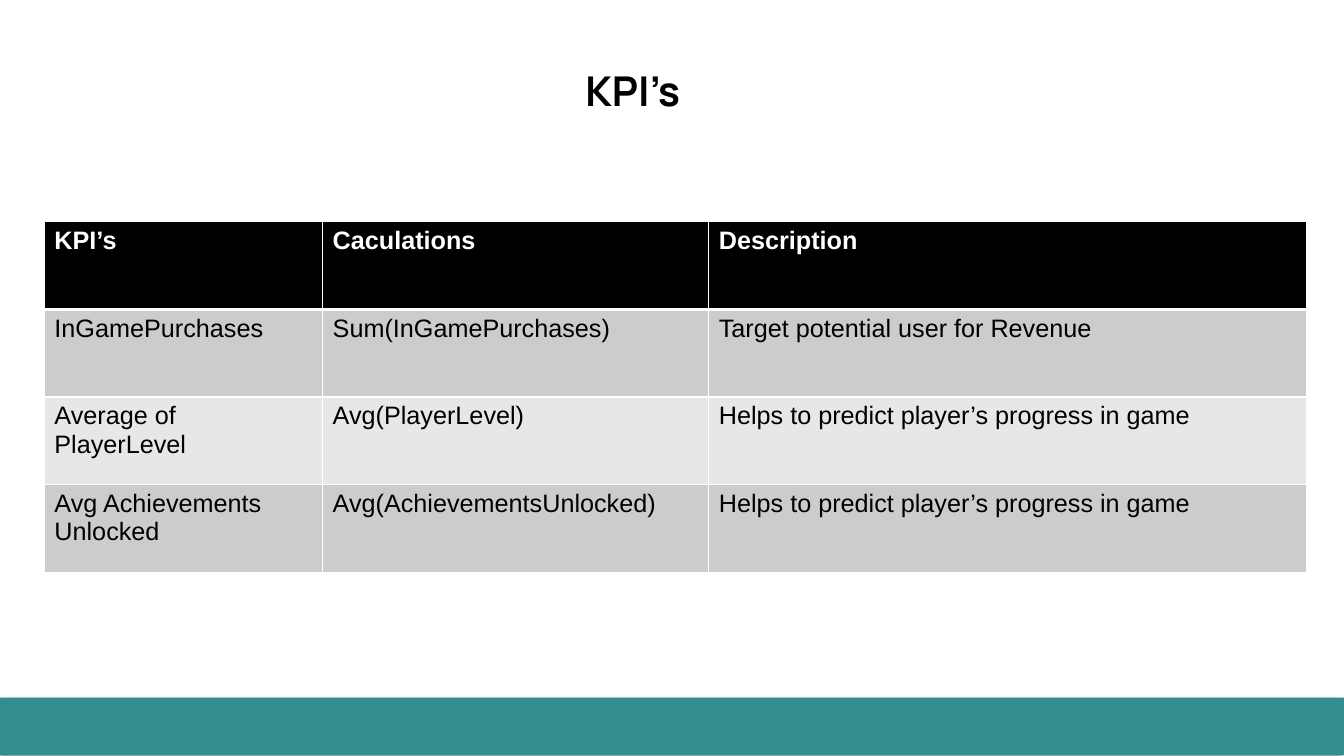
from lxml.etree import SubElement
from pptx import Presentation
from pptx.dml.color import RGBColor
from pptx.enum.shapes import MSO_SHAPE
from pptx.enum.text import MSO_ANCHOR, PP_ALIGN
from pptx.oxml import parse_xml
from pptx.oxml.ns import nsdecls, qn
from pptx.util import Inches, Pt

BLACK = RGBColor(0x00, 0x00, 0x00)
WHITE = RGBColor(0xFF, 0xFF, 0xFF)
TEAL = RGBColor(0x34, 0x8E, 0x90)
DARK = RGBColor(0xCC, 0xCC, 0xCC)
LIGHT = RGBColor(0xE7, 0xE7, 0xE7)

ROWS = [
    ("KPI’s", "Caculations", "Description"),
    ("InGamePurchases", "Sum(InGamePurchases)", "Target potential user for Revenue"),
    ("Average of PlayerLevel", "Avg(PlayerLevel)", "Helps to predict player’s progress in game"),
    ("Avg Achievements Unlocked", "Avg(AchievementsUnlocked)", "Helps to predict player’s progress in game"),
]
WIDTHS = (2.76, 3.83, 5.93)
HEIGHT = 0.87


class Deck:
    """Holds the fonts and the current slide, and draws each kind of element."""

    head_font = "Manrope"
    body_font = "Arial"

    def __init__(self, slide):
        self.slide = slide

    def style(self, text, name, size, color, bold):
        font = text.paragraphs[0].runs[0].font
        font.name, font.size, font.bold = name, Pt(size), bold
        font.color.rgb = color

    def bar(self, left, top, width, height, color):
        shape = self.slide.shapes.add_shape(
            MSO_SHAPE.RECTANGLE, Inches(left), Inches(top), Inches(width), Inches(height))
        shape.shadow.inherit = False
        shape.fill.solid()
        shape.fill.fore_color.rgb = color
        shape.line.fill.background()
        effects = shape._element.spPr.find(qn("a:effectLst"))
        effects.append(parse_xml(
            f'<a:outerShdw {nsdecls("a")} blurRad="{Pt(4)}" dist="{Pt(3)}" dir="8100000" algn="tr" '
            'rotWithShape="0"><a:srgbClr val="000000"><a:alpha val="40000"/></a:srgbClr></a:outerShdw>'))

    def title(self, text, left, top, width, height, size):
        shape = self.slide.shapes.title
        shape.left, shape.top = Inches(left), Inches(top)
        shape.width, shape.height = Inches(width), Inches(height)
        frame = shape.text_frame
        frame.text = text
        frame.word_wrap = True
        frame.vertical_anchor = MSO_ANCHOR.BOTTOM
        frame.margin_left = frame.margin_right = Inches(0.1)
        frame.margin_top = frame.margin_bottom = Inches(0.1)
        frame.paragraphs[0].alignment = PP_ALIGN.CENTER
        self.style(frame, self.head_font, size, BLACK, True)

    def edge(self, cell, side, width):
        line = SubElement(cell._tc.get_or_add_tcPr(), qn(f"a:ln{side}"), w=str(Pt(width)))
        fill = SubElement(line, qn("a:solidFill"))
        SubElement(fill, qn("a:srgbClr"), val=str(WHITE))

    def table(self, rows, left, top, widths, height, size):
        table = self.slide.shapes.add_table(
            len(rows), len(widths), Inches(left), Inches(top),
            Inches(sum(widths)), Inches(height * len(rows))).table
        for column, width in zip(table.columns, widths):
            column.width = Inches(width)
        for r, row in enumerate(rows):
            table.rows[r].height = Inches(height)
            head = r == 0
            for c, text in enumerate(row):
                cell = table.cell(r, c)
                for side in "LRTB":
                    thick = (r, side) in ((0, "B"), (1, "T"))
                    self.edge(cell, side, 3 if thick else 1)
                cell.fill.solid()
                cell.fill.fore_color.rgb = BLACK if head else DARK if r % 2 else LIGHT
                cell.text_frame.text = text
                self.style(cell.text_frame, self.body_font, size, WHITE if head else BLACK, head)


def main():
    show = Presentation()
    show.slide_width, show.slide_height = Inches(13.33), Inches(7.5)
    deck = Deck(show.slides.add_slide(show.slide_layouts[5]))
    deck.bar(0, 6.92, 13.33, 0.57, TEAL)
    deck.title("KPI’s", 0.44, 0, 11.67, 1.24, 29.3)
    deck.table(ROWS, 0.44, 2.2, WIDTHS, HEIGHT, 18)
    show.save("out.pptx")


if __name__ == "__main__":
    main()
